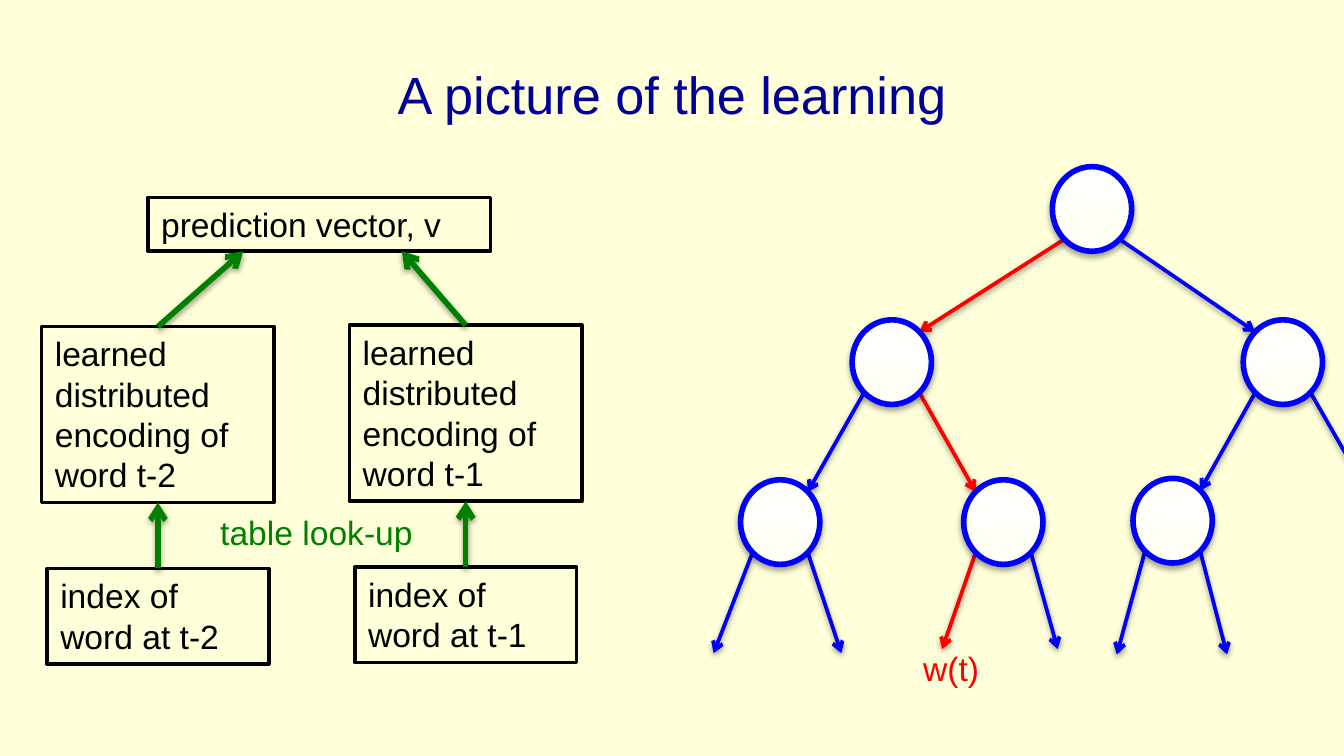
from pptx import Presentation
from pptx.dml.color import RGBColor
from pptx.enum.shapes import MSO_CONNECTOR, MSO_SHAPE
from pptx.enum.text import MSO_ANCHOR, PP_ALIGN
from pptx.util import Pt
from pptx.oxml.ns import qn
from lxml.etree import SubElement

PX = 9144  # 100 px to the inch
COLORS = {
    "page": "FFFFD9", "title": "000099", "ink": "000000", "green": "008000",
    "blue": "0000FF", "red": "FF0000", "node_low": "FFFFF7", "node_high": "FFFFFB",
}
TOP, BOTTOM = 0, 2  # connection sites of a rectangle
NODE_W, NODE_H, NODE_INSET = 59, 63, 9


def color(name):
    return RGBColor.from_string(COLORS[name])


def emu(*lengths):
    return [length * PX for length in lengths]


def add_shadow(shape, alpha, distance):
    effects = shape._element.spPr.find(qn("a:effectLst"))
    if effects is None:
        effects = SubElement(shape._element.spPr, qn("a:effectLst"))
    shadow = SubElement(effects, qn("a:outerShdw"), blurRad="40000",
                        dist=str(distance), dir="5400000", rotWithShape="0")
    black = SubElement(shadow, qn("a:srgbClr"), val=COLORS["ink"])
    SubElement(black, qn("a:alpha"), val=str(alpha * 1000))


def write(shape, text, ink="ink", size=18, align=PP_ALIGN.LEFT,
          anchor=MSO_ANCHOR.TOP):
    frame = shape.text_frame
    frame.word_wrap = True
    frame.vertical_anchor = anchor
    para = frame.paragraphs[0]
    para.alignment = align
    span = para.add_run()
    span.text = text
    span.font.name = "Arial"
    span.font.size = Pt(size)
    span.font.color.rgb = color(ink)


def add_label(page, box, text, **style):
    write(page.shapes.add_textbox(*emu(*box)), text, **style)


def add_frame(page, box, text):
    shape = page.shapes.add_shape(MSO_SHAPE.RECTANGLE, *emu(*box))
    shape.shadow.inherit = False
    shape.fill.background()
    shape.line.color.rgb = color("ink")
    shape.line.width = Pt(2)
    write(shape, text)
    return shape


def add_arrow(page, start, end, ink, width):
    arrow = page.shapes.add_connector(MSO_CONNECTOR.STRAIGHT, *emu(*start, *end))
    arrow.line.color.rgb = color(ink)
    arrow.line.width = Pt(width)
    SubElement(arrow.line._get_or_add_ln(), qn("a:tailEnd"), type="arrow")
    add_shadow(arrow, 38, 20000)
    return arrow


def add_node(page, left, top):
    node = page.shapes.add_shape(MSO_SHAPE.OVAL, *emu(left, top, NODE_W, NODE_H))
    node.shadow.inherit = False
    node.fill.gradient()
    node.fill.gradient_angle = 90
    for stop, name in zip(node.fill.gradient_stops, ("node_low", "node_high")):
        stop.color.rgb = color(name)
    node.line.color.rgb = color("blue")
    node.line.width = Pt(3)
    add_shadow(node, 35, 23000)


def node_corner(node, right, bottom):
    """Point on a node's outline at one of its diagonals."""
    left, top = node
    return (left + (NODE_W - NODE_INSET if right else NODE_INSET),
            top + (NODE_H - NODE_INSET if bottom else NODE_INSET))


def build_word_column(page, left, top, word, target):
    """Word index, looked up as an encoding that feeds the prediction."""
    encoding = add_frame(page, (left, top, 173, 131),
                         f"learned distributed encoding of word {word}")
    index = add_frame(page, (left + 4, top + 180, 165, 71), f"index of word at {word}")
    middle = left + 87
    lookup = add_arrow(page, (middle, top + 180), (middle, top + 131), "green", 3)
    lookup.begin_connect(index, TOP)
    lookup.end_connect(encoding, BOTTOM)
    feed = add_arrow(page, (middle, top), target, "green", 3)
    feed.begin_connect(encoding, TOP)


def build_encoder(page, left, top):
    add_frame(page, (left + 79, top, 255, 40), "prediction vector, v")
    build_word_column(page, left, top + 96, "t-2", (left + 150, top + 40))
    build_word_column(page, left + 229, top + 95, "t-1", (left + 268, top + 40))
    add_label(page, (left + 123, top + 229, 189, 40), "table look-up", ink="green")


def build_tree(page, left, top):
    def place(x, y):
        return left + x, top + y

    root, left_child, right_child = place(232, 0), place(83, 114), place(374, 114)
    leaves = [place(0, 233), place(166, 233), place(292, 232)]
    beyond_edge = place(457, 232)

    # Branches between nodes: parent, left child, right child, branch on the path
    families = [(root, left_child, right_child, 0),
                (left_child, leaves[0], leaves[1], 1),
                (right_child, leaves[2], beyond_edge, None)]
    for parent, *children, chosen in families:
        for side, child in enumerate(children):
            add_arrow(page, node_corner(parent, side, True),
                      node_corner(child, not side, False),
                      "red" if side == chosen else "blue", 2)

    # Open branches below the leaves
    tips = [((-20, 362), (75, 362)), ((150, 359), (236, 359)), ((280, 363), (362, 363))]
    for number, (leaf, ends) in enumerate(zip(leaves, tips)):
        for side, end in enumerate(ends):
            add_arrow(page, node_corner(leaf, side, True), place(*end),
                      "red" if (number, side) == (1, 0) else "blue", 2)

    for node in (root, left_child, right_child, *leaves):
        add_node(page, *node)
    add_label(page, (*place(126, 353), 98, 40), "w(t)", ink="red")


def main():
    deck = Presentation()
    deck.slide_width = 1000 * PX
    deck.slide_height = deck.slide_width * 9 // 16
    page = deck.slides.add_slide(deck.slide_layouts[6])
    page.background.fill.solid()
    page.background.fill.fore_color.rgb = color("page")

    add_label(page, (50, 23, 900, 94), "A picture of the learning", ink="title",
              size=28, align=PP_ALIGN.CENTER, anchor=MSO_ANCHOR.MIDDLE)
    build_encoder(page, 31, 147)
    build_tree(page, 551, 124)
    deck.save("out.pptx")


if __name__ == "__main__":
    main()
